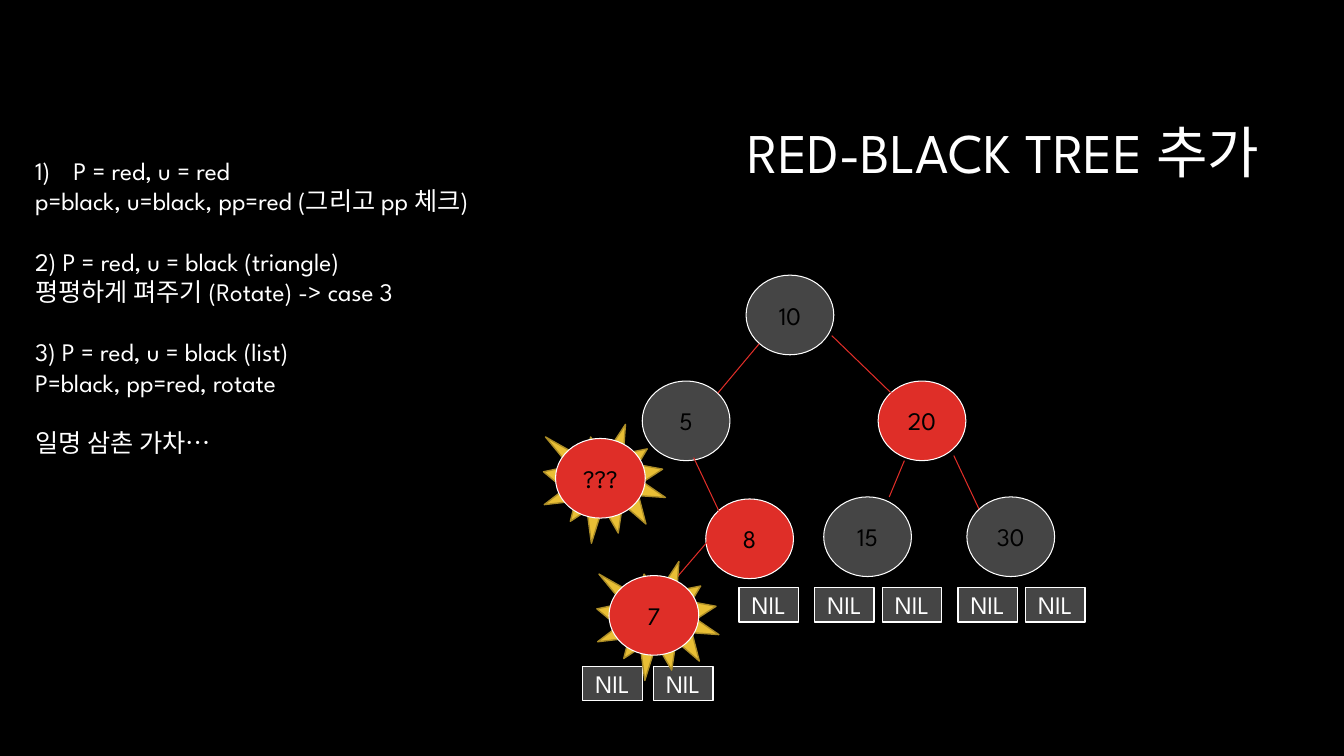
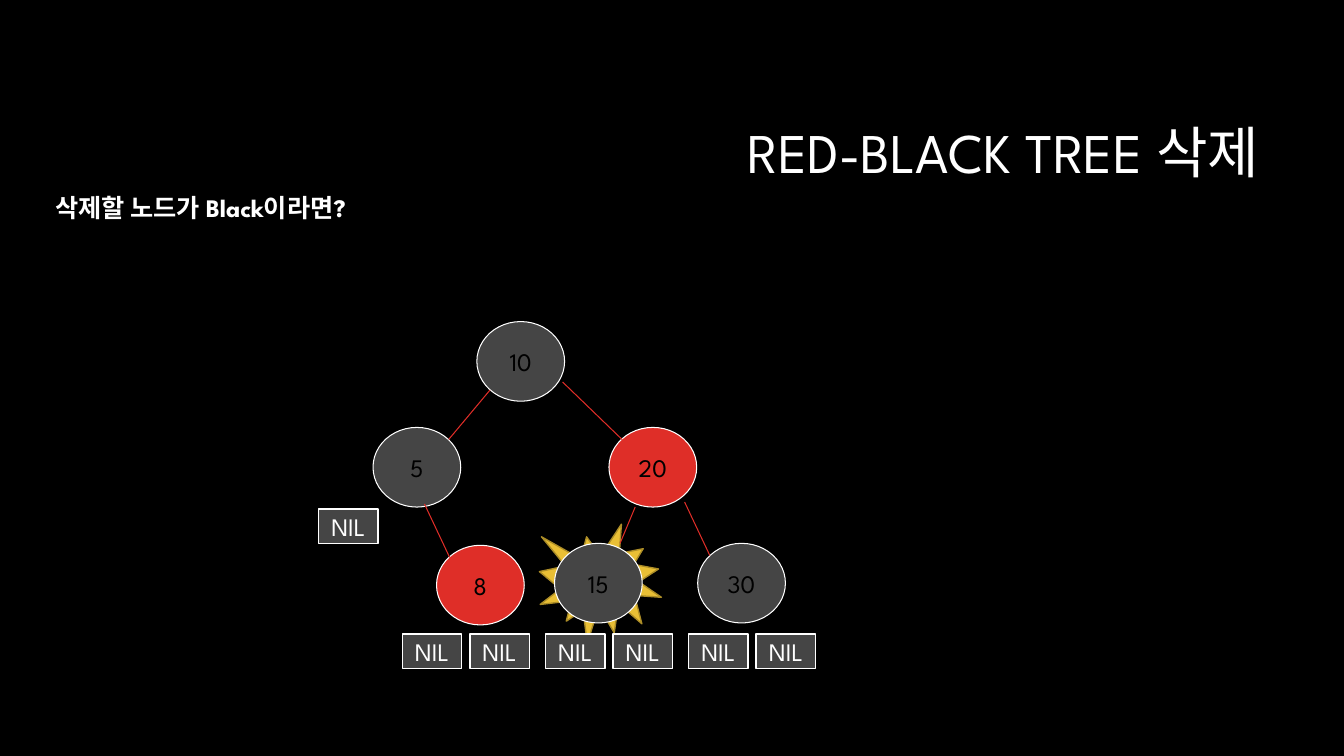
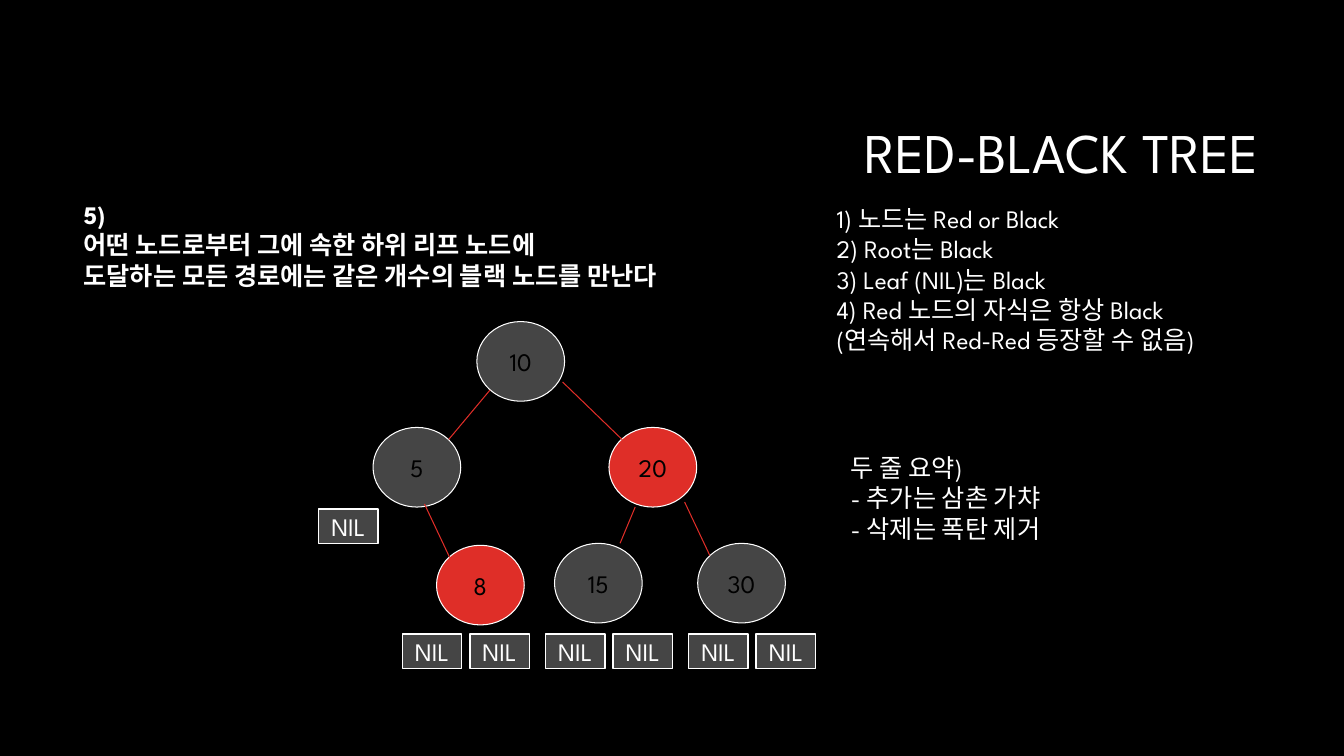
from dataclasses import dataclass

from lxml.etree import SubElement
from pptx import Presentation
from pptx.dml.color import RGBColor
from pptx.enum.shapes import MSO_CONNECTOR as Connector
from pptx.enum.shapes import MSO_SHAPE as Preset
from pptx.enum.text import MSO_ANCHOR as Anchor
from pptx.enum.text import MSO_AUTO_SIZE as AutoSize
from pptx.enum.text import PP_ALIGN as Align
from pptx.oxml.ns import qn
from pptx.shapes.autoshape import Shape
from pptx.slide import Slide
from pptx.util import Inches, Pt

BLACK = RGBColor(0x00, 0x00, 0x00)
WHITE = RGBColor(0xFF, 0xFF, 0xFF)
RED = RGBColor(0xDF, 0x2E, 0x28)
GRAY = RGBColor(0x45, 0x45, 0x45)
GOLD = RGBColor(0xE9, 0xBF, 0x35)
DARK_GOLD = RGBColor(0xAC, 0x8D, 0x27)
FONT = "League Spartan"
BODY_SIZE = 18
TITLE_SIZE = 40
BLANK_LINE = Pt(21.6)
NIL_STEP = 0.67


@dataclass(frozen=True)
class Node:
    """A round tree node."""

    label: str
    left: float
    top: float
    fill: RGBColor
    width: float = 0.87


@dataclass(frozen=True)
class Edge:
    """A line from a parent to a child."""

    x1: float
    y1: float
    x2: float
    y2: float


@dataclass(frozen=True)
class Spot:
    """The top left corner of an object."""

    left: float
    top: float


@dataclass(frozen=True)
class Line:
    """One paragraph of a note."""

    text: str
    gap: bool = False
    numbered: bool = False


@dataclass(frozen=True)
class Note:
    """A text box with its paragraphs."""

    left: float
    top: float
    width: float
    height: float
    lines: tuple[Line, ...]
    bold: bool = False


TREE_NODES = (
    Node("20", 6.04, 4.24, RED),
    Node("5", 3.7, 4.24, GRAY),
    Node("10", 4.73, 3.19, GRAY),
    Node("30", 6.92, 5.39, GRAY),
    Node("15", 5.5, 5.39, GRAY),
    Node("8", 4.33, 5.41, RED),
)
TREE_EDGES = (
    Edge(4.86, 3.87, 4.45, 4.36),
    Edge(6.3, 5.03, 6.15, 5.39),
    Edge(6.79, 4.98, 7.04, 5.51),
    Edge(5.58, 3.79, 6.17, 4.36),
    Edge(4.21, 5, 4.46, 5.53),
)
LEAF_NILS = tuple(
    Spot(pair_left + side * NIL_STEP, 6.29)
    for pair_left in (3.99, 5.41, 6.83)
    for side in range(2)
)
TREE_NILS = (Spot(3.16, 5.05), *LEAF_NILS)
NO_SHIFT = Spot(0, 0)
INSERT_SHIFT = Spot(2.67, -0.46)
NEW_NODES = (Node("7", 6.04, 5.71, RED, 0.89), Node("???", 5.51, 4.35, RED, 0.89))
NEW_EDGE = Edge(7.08, 5.3, 6.66, 5.79)
NEW_NILS = (Spot(5.78, 6.61), Spot(6.48, 6.61))

INSERT_NOTE = Note(0.25, 1.49, 6.67, 3.43, (
    Line("P = red, u = red", numbered=True),
    Line("p=black, u=black, pp=red (그리고 pp 체크)"),
    Line("2) P = red, u = black (triangle)", gap=True),
    Line("평평하게 펴주기 (Rotate) -> case 3"),
    Line("3) P = red, u = black (list)", gap=True),
    Line("P=black, pp=red, rotate"),
    Line("일명 삼촌 가차…", gap=True),
))
DELETE_NOTE = Note(0.45, 1.86, 6.75, 0.4, (Line("삭제할 노드가 Black이라면?"),), bold=True)
PATH_NOTE = Note(0.73, 1.93, 6.75, 1.01, (
    Line("5)\n어떤 노드로부터 그에 속한 하위 리프 노드에"),
    Line("도달하는 모든 경로에는 같은 개수의 블랙 노드를 만난다"),
), bold=True)
RULES_NOTE = Note(8.2, 1.97, 4.54, 1.62, (
    Line("1) 노드는 Red or Black"),
    Line("2) Root는 Black"),
    Line("3) Leaf (NIL)는 Black"),
    Line("4) Red 노드의 자식은 항상 Black\n(연속해서 Red-Red 등장할 수 없음)"),
))
SUMMARY_NOTE = Note(8.34, 4.44, 4.54, 1.01, (
    Line("두 줄 요약)"),
    Line("- 추가는 삼촌 가챠"),
    Line("- 삭제는 폭탄 제거"),
))


def add_span(para, text: str, color: RGBColor, size: float = BODY_SIZE, bold: bool = False) -> None:
    """Add text to a paragraph, breaking it at newlines."""
    for index, part in enumerate(text.split("\n")):
        if index:
            para.add_line_break()
        span = para.add_run()
        span.text = part
        span.font.name = FONT
        span.font.size = Pt(size)
        span.font.bold = bold
        span.font.color.rgb = color


def add_page(deck, title: str) -> Slide:
    """Add a slide with the shared title style."""
    page = deck.slides.add_slide(deck.slide_layouts[5])
    box = page.shapes.title
    box.left, box.top = Inches(3.17), Inches(0.84)
    box.width, box.height = Inches(9.42), Inches(1.41)
    box.text_frame.vertical_anchor = Anchor.MIDDLE
    para = box.text_frame.paragraphs[0]
    para.alignment = Align.RIGHT
    para.line_spacing = 0.9
    add_span(para, title, WHITE, TITLE_SIZE)
    return page


def add_note(page: Slide, note: Note) -> None:
    """Add a text box of paragraphs."""
    box = page.shapes.add_textbox(
        Inches(note.left), Inches(note.top), Inches(note.width), Inches(note.height)
    )
    frame = box.text_frame
    frame.word_wrap = True
    frame.auto_size = AutoSize.SHAPE_TO_FIT_TEXT
    for index, line in enumerate(note.lines):
        para = frame.add_paragraph() if index else frame.paragraphs[0]
        if line.gap:
            para.space_before = BLANK_LINE
        if line.numbered:
            properties = para._p.get_or_add_pPr()
            properties.set("marL", str(Inches(0.38)))
            properties.set("indent", str(Inches(-0.38)))
            SubElement(properties, qn("a:buFontTx"))
            SubElement(properties, qn("a:buAutoNum"), type="arabicParenR")
        add_span(para, line.text, WHITE, bold=note.bold)


def add_figure(page: Slide, preset: Preset, spot: Spot, width: float, height: float,
               fill: RGBColor, border: RGBColor, weight: float) -> Shape:
    """Add a flat filled shape with a border."""
    shape = page.shapes.add_shape(
        preset, Inches(spot.left), Inches(spot.top), Inches(width), Inches(height)
    )
    shape.shadow.inherit = False
    shape.fill.solid()
    shape.fill.fore_color.rgb = fill
    shape.line.color.rgb = border
    shape.line.width = Pt(weight)
    return shape


def add_label(shape: Shape, text: str, color: RGBColor) -> None:
    """Centre a label in a shape."""
    shape.text_frame.vertical_anchor = Anchor.MIDDLE
    para = shape.text_frame.paragraphs[0]
    para.alignment = Align.CENTER
    add_span(para, text, color)


def add_node(page: Slide, node: Node, shift: Spot = NO_SHIFT) -> None:
    """Add a labelled tree node."""
    spot = Spot(node.left + shift.left, node.top + shift.top)
    shape = add_figure(page, Preset.OVAL, spot, node.width, 0.79, node.fill, WHITE, 0.75)
    add_label(shape, node.label, BLACK)


def add_edge(page: Slide, edge: Edge, shift: Spot = NO_SHIFT) -> None:
    """Add a tree edge."""
    connector = page.shapes.add_connector(
        Connector.STRAIGHT,
        Inches(edge.x1 + shift.left), Inches(edge.y1 + shift.top),
        Inches(edge.x2 + shift.left), Inches(edge.y2 + shift.top),
    )
    connector.line.color.rgb = RED
    connector.line.width = Pt(0.75)
    SubElement(connector._element.spPr, qn("a:effectLst"))


def add_nil(page: Slide, nil: Spot, shift: Spot = NO_SHIFT) -> None:
    """Add an empty leaf box."""
    spot = Spot(nil.left + shift.left, nil.top + shift.top)
    shape = add_figure(page, Preset.RECTANGLE, spot, 0.59, 0.34, GRAY, WHITE, 1)
    add_label(shape, "NIL", WHITE)


def add_burst(page: Slide, spot: Spot) -> None:
    """Add a golden burst that marks a node."""
    add_figure(page, Preset.EXPLOSION1, spot, 1.21, 1.18, GOLD, DARK_GOLD, 1)


def add_tree(page: Slide, nils: tuple[Spot, ...] = TREE_NILS, shift: Spot = NO_SHIFT) -> None:
    """Add the shared tree with its leaf boxes."""
    for node in TREE_NODES:
        add_node(page, node, shift)
    for edge in TREE_EDGES:
        add_edge(page, edge, shift)
    for nil in nils:
        add_nil(page, nil, shift)


def build_insert(deck) -> None:
    """Build the insertion slide."""
    page = add_page(deck, "RED-BLACK TREE 추가")
    add_note(page, INSERT_NOTE)
    add_tree(page, LEAF_NILS[1:], INSERT_SHIFT)
    add_edge(page, NEW_EDGE)
    for nil in NEW_NILS:
        add_nil(page, nil)
    for node in NEW_NODES:
        add_burst(page, Spot(node.left - 0.12, node.top - 0.14))
        add_node(page, node)


def build_delete(deck) -> None:
    """Build the deletion slide."""
    page = add_page(deck, "RED-BLACK TREE 삭제")
    add_burst(page, Spot(5.35, 5.2))
    add_tree(page)
    add_note(page, DELETE_NOTE)


def build_rules(deck) -> None:
    """Build the slide of tree rules."""
    page = add_page(deck, "RED-BLACK TREE")
    add_tree(page)
    for note in (PATH_NOTE, RULES_NOTE, SUMMARY_NOTE):
        add_note(page, note)


def main() -> None:
    """Build and save the deck."""
    deck = Presentation()
    deck.slide_width, deck.slide_height = Inches(13.33), Inches(7.5)
    backdrop = deck.slide_master.background.fill
    backdrop.solid()
    backdrop.fore_color.rgb = BLACK
    for build in (build_insert, build_delete, build_rules):
        build(deck)
    deck.save("out.pptx")


if __name__ == "__main__":
    main()
